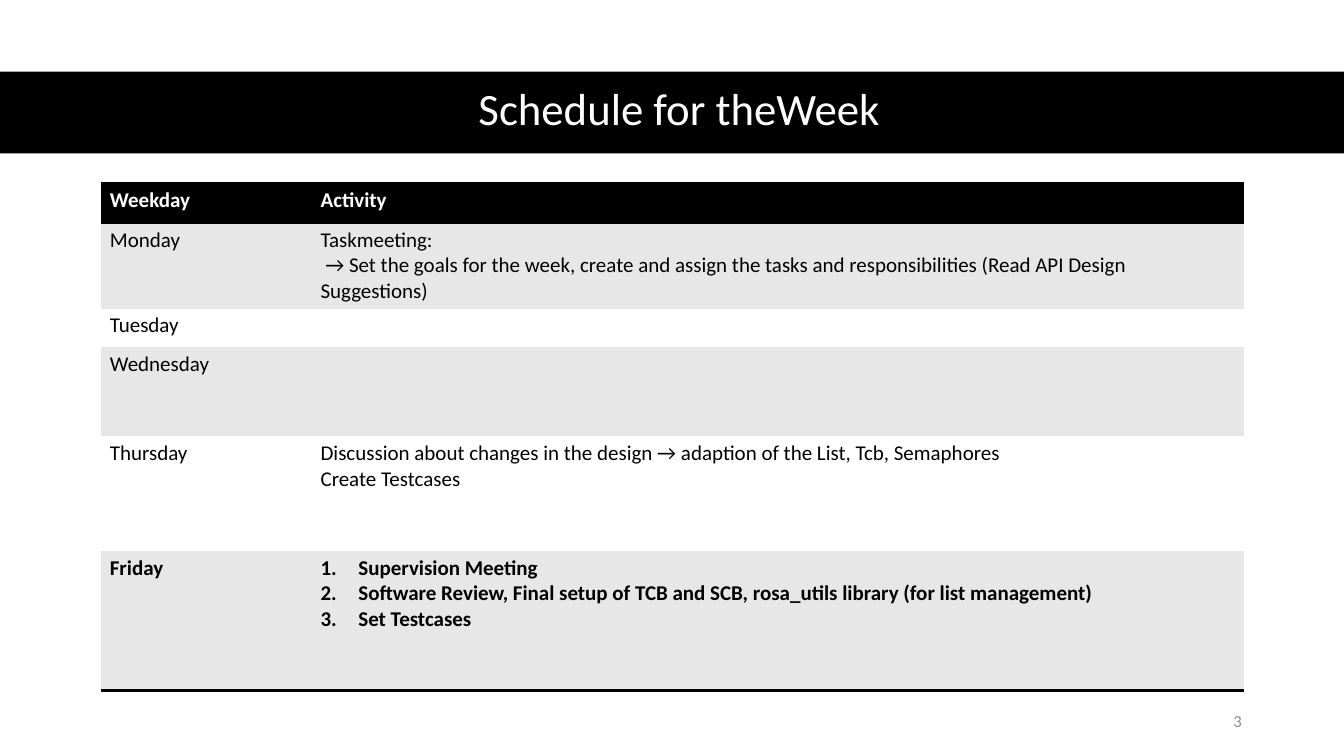
from lxml import etree
from pptx import Presentation
from pptx.dml.color import RGBColor
from pptx.enum import shapes, text
from pptx.oxml import ns
from pptx.util import Pt

BLACK = RGBColor(0x00, 0x00, 0x00)
WHITE = RGBColor(0xFF, 0xFF, 0xFF)
STRIPE = RGBColor(0xE7, 0xE7, 0xE7)
GREY = RGBColor(0x8C, 0x8C, 0x8C)
PLAIN_TABLE = "{2D5ABB26-0587-4C30-8999-92F81FD0307C}"

COLUMNS = [150.5, 666]
SCHEDULE = [
    (28.4, "Weekday", ["Activity"]),
    (61.2, "Monday", [
        "Taskmeeting:",
        " → Set the goals for the week, create and assign the tasks and "
        "responsibilities (Read API Design Suggestions)",
    ]),
    (27.4, "Tuesday", [""]),
    (63.6, "Wednesday", [""]),
    (82, "Thursday", [
        "Discussion about changes in the design → adaption of the List, Tcb, Semaphores",
        "Create Testcases",
    ]),
    (99.8, "Friday", [
        "Supervision Meeting",
        "Software Review, Final setup of TCB and SCB, rosa_utils library (for list management)",
        "Set Testcases",
    ]),
]


class SchedulePage:
    """Draws bands, text and the schedule table in one style."""

    font = "Calibri"

    def __init__(self, deck):
        self.page = deck.slides.add_slide(deck.slide_layouts[6])

    def style(self, para, size, color, bold=False):
        para.font.name = self.font
        para.font.size = Pt(size)
        para.font.bold = bold
        para.font.color.rgb = color

    def band(self, left, top, width, height):
        band = self.page.shapes.add_shape(
            shapes.MSO_SHAPE.RECTANGLE, Pt(left), Pt(top), Pt(width), Pt(height))
        band.shadow.inherit = False
        band.fill.solid()
        band.fill.fore_color.rgb = BLACK
        band.line.fill.background()

    def label(self, place, words, size, color, align, spacing=1.0):
        box = self.page.shapes.add_textbox(*map(Pt, place))
        frame = box.text_frame
        frame.word_wrap = True
        frame.vertical_anchor = text.MSO_ANCHOR.MIDDLE
        para = frame.paragraphs[0]
        para.text = words
        para.alignment = align
        para.line_spacing = spacing
        self.style(para, size, color)

    def rule(self, cell, sides):
        props = cell._tc.get_or_add_tcPr()
        for index, side in enumerate(sides):
            line = etree.Element(ns.qn(f"a:ln{side}"), w=str(Pt(2)))
            fill = etree.SubElement(line, ns.qn("a:solidFill"))
            etree.SubElement(fill, ns.qn("a:srgbClr"), val=str(BLACK))
            props.insert(index, line)

    def number(self, para):
        props = para._p.get_or_add_pPr()
        props.set("marL", str(Pt(27)))
        props.set("indent", str(-Pt(27)))
        bullet = etree.Element(ns.qn("a:buAutoNum"), type="arabicPeriod")
        props.insert(0, bullet)

    def cell(self, cell, lines, fill, color, bold, numbered):
        cell.margin_left = cell.margin_right = Pt(6.5)
        cell.margin_top = cell.margin_bottom = Pt(3)
        cell.fill.solid()
        cell.fill.fore_color.rgb = fill
        cell.text = "\n".join(lines)
        for para in cell.text_frame.paragraphs:
            self.style(para, 15, color, bold)
            if numbered:
                self.number(para)

    def table(self, left, top, columns, rows):
        height = sum(row[0] for row in rows)
        table = self.page.shapes.add_table(
            len(rows), len(columns), Pt(left), Pt(top), Pt(sum(columns)), Pt(height)).table
        table.horz_banding = False
        table._tbl.tblPr.find(ns.qn("a:tableStyleId")).text = PLAIN_TABLE
        for column, width in zip(table.columns, columns):
            column.width = Pt(width)
        last = len(rows) - 1
        for index, (row_height, day, activity) in enumerate(rows):
            table.rows[index].height = Pt(row_height)
            header, friday = index == 0, index == last
            fill = BLACK if header else STRIPE if index % 2 else WHITE
            color = WHITE if header else BLACK
            for column, lines in enumerate([[day], activity]):
                cell = table.cell(index, column)
                self.cell(cell, lines, fill, color, header or friday,
                          friday and column == 1)
                self.rule(cell, "TB" if header else "B" if friday else "")


def main():
    deck = Presentation()
    deck.slide_width, deck.slide_height = Pt(960), Pt(540)
    page = SchedulePage(deck)
    page.band(0, 51.2, 960, 58.3)
    page.label((43.9, 50.4, 882.7, 58.3), "Schedule for theWeek", 32, WHITE,
               text.PP_ALIGN.CENTER, 0.9)
    page.label((678.2, 500.4, 216, 28.8), "3", 12, GREY, text.PP_ALIGN.RIGHT)
    page.table(72, 131, COLUMNS, SCHEDULE)
    deck.save("out.pptx")


if __name__ == "__main__":
    main()
